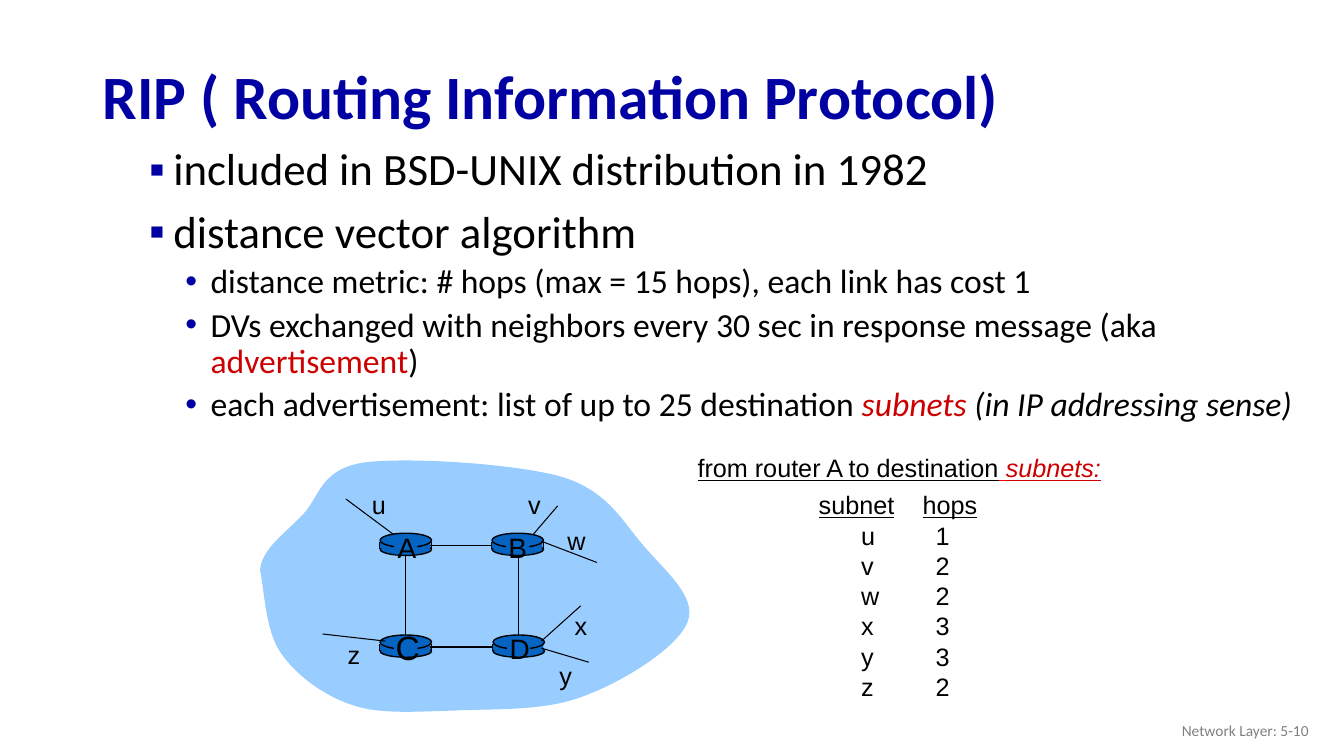
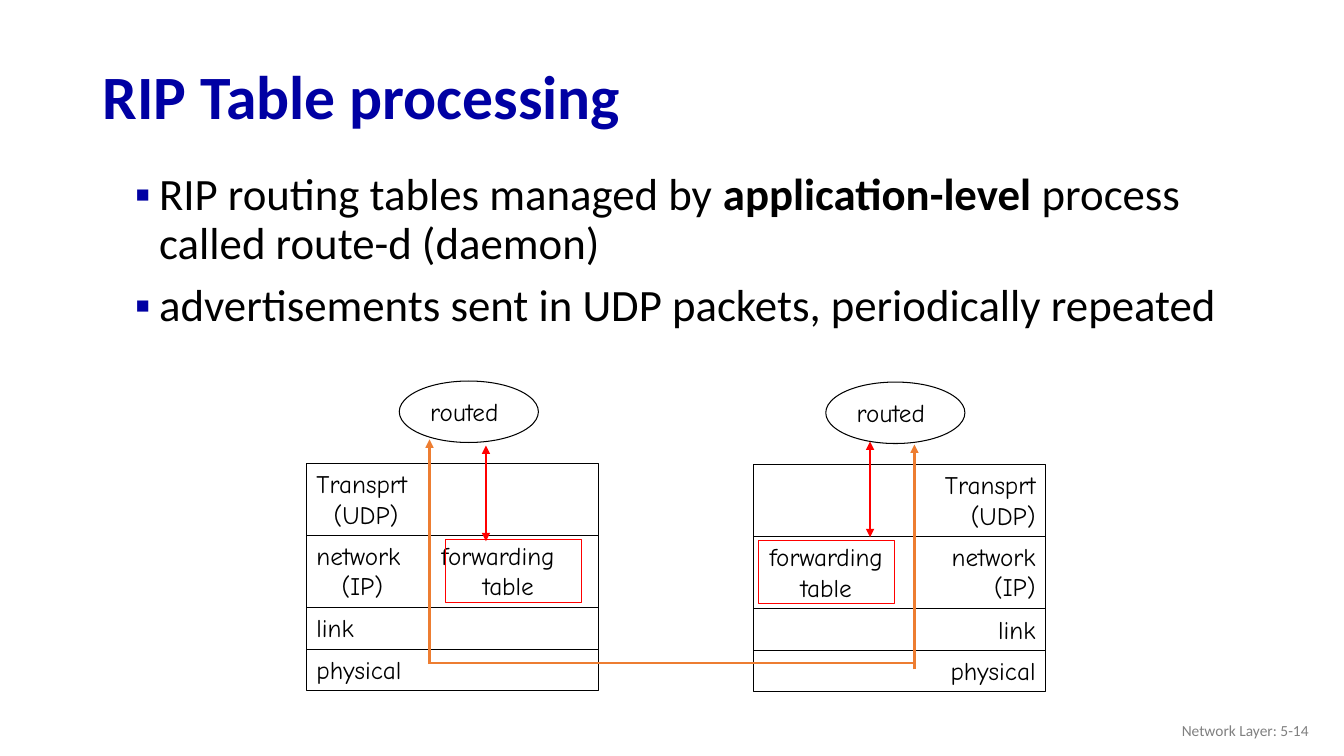
from lxml import etree
from pptx import Presentation
from pptx.dml.color import RGBColor
from pptx.enum.shapes import MSO_CONNECTOR, MSO_SHAPE
from pptx.enum.text import MSO_ANCHOR, PP_ALIGN
from pptx.oxml.ns import qn
from pptx.util import Emu, Pt

EMU_PER_PX = 9144
STRAIGHT = MSO_CONNECTOR.STRAIGHT
RECT, OVAL = MSO_SHAPE.RECTANGLE, MSO_SHAPE.OVAL
TOP, MIDDLE = MSO_ANCHOR.TOP, MSO_ANCHOR.MIDDLE
LEFT, CENTER, RIGHT = PP_ALIGN.LEFT, PP_ALIGN.CENTER, PP_ALIGN.RIGHT

NAVY = RGBColor(0x00, 0x00, 0xA3)
BLACK = RGBColor(0x00, 0x00, 0x00)
CRIMSON = RGBColor(0xCC, 0x00, 0x00)
RED = RGBColor(0xFF, 0x00, 0x00)
ORANGE = RGBColor(0xED, 0x7D, 0x31)
GRAY = RGBColor(0x80, 0x80, 0x80)
SKY = RGBColor(0x99, 0xCC, 0xFF)
ROUTER_BLUE = RGBColor(0x05, 0x63, 0xC1)

BODY_FONT, LABEL_FONT, STACK_FONT = "Calibri", "Arial", "Comic Neue"
BULLETS = (
    {"size": 32, "before": 10, "margin": 39, "hanging": 24, "mark": "▪"},
    {"size": 24, "before": 5, "margin": 76, "hanging": 25, "mark": "•"},
)

CLOUD_CURVES = (
    ((1, 92), (25, 76), (42, 58)),
    ((59, 41), (59, 13), (102, 6)),
    ((145, 0), (253, 7), (299, 20)),
    ((345, 34), (359, 64), (380, 88)),
    ((400, 112), (434, 139), (424, 164)),
    ((414, 190), (359, 224), (320, 238)),
    ((281, 253), (230, 250), (192, 252)),
    ((153, 253), (118, 256), (90, 246)),
    ((61, 236), (35, 216), (20, 194)),
    ((5, 172), (4, 130), (0, 113)),
)
ROUTERS = (
    ("A", 119, 76, (0, 51), (126, 68, 39, 44), 20),
    ("B", 230, 76, (0, 51), (236, 68, 39, 44), 20),
    ("C", 119, 177, (0, 51), (124, 164, 45, 51), 24),
    ("D", 231, 177, (0,), (237, 169, 41, 44), 20),
)
SUBNET_SPOKES = (
    ("u", (132, 77, 85, 42), (101, 28)),
    ("v", (271, 77, 295, 49), (256, 28)),
    ("w", (279, 84, 334, 105), (295, 63)),
    ("x", (279, 183, 318, 148), (302, 148)),
    ("y", (279, 190, 326, 204), (287, 197)),
    ("z", (124, 183, 62, 176), (77, 176)),
)
SUBNET_HOPS = (("u", "1"), ("v", "2"), ("w", "2"), ("x", "3"), ("y", "3"), ("z", "2"))
LAYERS = (
    (71, (("Transprt", 0), ("(UDP)", 17))),
    (72, (("network", 0), ("(IP)", 25))),
    (41, (("link", 0),)),
    (41, (("physical", 0),)),
)
TABLE_COLUMN = {"network": ("forwarding", 124), "(IP)": ("table", 165)}


def px(length):
    """Turn a length in px into EMU."""
    return Emu(round(length * EMU_PER_PX))


def add_run(paragraph, text, size, font, color=BLACK, bold=False, italic=False, underline=False):
    """Add one formatted run."""
    run = paragraph.add_run()
    run.text = text
    run.font.size, run.font.name = Pt(size), font
    run.font.color.rgb = color
    run.font.bold, run.font.italic, run.font.underline = bold, italic, underline


def add_box(shapes, box, anchor=TOP, wrap=True):
    """Add an empty text box and return its text frame."""
    frame = shapes.add_textbox(*map(px, box)).text_frame
    frame.word_wrap, frame.vertical_anchor = wrap, anchor
    return frame


def add_label(shapes, box, text, size, font, color=BLACK, align=LEFT, anchor=TOP, wrap=False):
    """Add a text box holding one plain run."""
    paragraph = add_box(shapes, box, anchor, wrap).paragraphs[0]
    paragraph.alignment = align
    add_run(paragraph, text, size, font, color)


def style_fill(figure, fill):
    """Drop the shadow and set or clear the fill."""
    figure.shadow.inherit = False
    if fill is None:
        figure.fill.background()
    else:
        figure.fill.solid()
        figure.fill.fore_color.rgb = fill


def add_figure(shapes, kind, box, fill=None, line=None, width=0.75):
    """Add a preset shape with an optional fill and outline."""
    figure = shapes.add_shape(kind, *map(px, box))
    style_fill(figure, fill)
    if line is None:
        figure.line.fill.background()
    else:
        figure.line.color.rgb, figure.line.width = line, Pt(width)
    return figure


def add_line(shapes, ends, color=BLACK, width=0.75, arrows=()):
    """Add a straight line with arrowheads at the named ends."""
    line = shapes.add_connector(STRAIGHT, *map(px, ends))
    line.line.color.rgb, line.line.width = color, Pt(width)
    properties = line._element.spPr
    for end in arrows:
        etree.SubElement(properties.find(qn("a:ln")), qn(f"a:{end}"), type="triangle")
    etree.SubElement(properties, qn("a:effectLst"))
    return line


def add_bullets(slide, box, items):
    """Add bulleted paragraphs given as levels with their runs."""
    frame = add_box(slide.shapes, box)
    for index, (level, runs) in enumerate(items):
        style = BULLETS[level]
        paragraph = frame.add_paragraph() if index else frame.paragraphs[0]
        paragraph.level = level
        paragraph.line_spacing, paragraph.space_before = 0.9, Pt(style["before"])
        properties = paragraph._p.get_or_add_pPr()
        properties.set("marL", str(px(style["margin"])))
        properties.set("indent", str(-px(style["hanging"])))
        mark_color = etree.SubElement(properties, qn("a:buClr"))
        etree.SubElement(mark_color, qn("a:srgbClr"), val=str(NAVY))
        etree.SubElement(properties, qn("a:buFont"), typeface=LABEL_FONT)
        etree.SubElement(properties, qn("a:buChar"), char=style["mark"])
        for text, look in runs:
            add_run(paragraph, text, style["size"], BODY_FONT, **look)


def add_page(deck, title, number):
    """Add a blank slide with the shared title and footer."""
    slide = deck.slides.add_slide(deck.slide_layouts[6])
    heading = add_box(slide.shapes, (92, 50, 1150, 98), MIDDLE).paragraphs[0]
    heading.line_spacing = 0.9
    add_run(heading, title, 44, BODY_FONT, NAVY, bold=True)
    add_label(slide.shapes, (1008, 705, 300, 40), f"Network Layer: {number}", 11, BODY_FONT,
              GRAY, RIGHT, MIDDLE, wrap=True)
    return slide


def add_cloud(shapes, left, top):
    """Add the cloud, turning each segment of its outline into a curve."""
    ends = [curve[-1] for curve in CLOUD_CURVES]
    start_x, start_y = ends[-1]
    outline = shapes.build_freeform(px(left + start_x), px(top + start_y))
    outline.add_line_segments([(px(left + x), px(top + y)) for x, y in ends], close=True)
    cloud = outline.convert_to_shape()
    style_fill(cloud, SKY)
    cloud.line.fill.background()
    min_x, min_y = (min(axis) for axis in zip(*ends))
    segments = list(cloud._element.iter(qn("a:lnTo")))
    for segment, curve in zip(segments, CLOUD_CURVES):
        bend = etree.Element(qn("a:cubicBezTo"))
        for x, y in curve:
            etree.SubElement(bend, qn("a:pt"), x=str(px(x - min_x)), y=str(px(y - min_y)))
        segment.getparent().replace(segment, bend)


def add_router(shapes, left, top, sides):
    """Add a router drum and return its middle band."""
    add_figure(shapes, OVAL, (left, top + 10, 51, 12), ROUTER_BLUE, BLACK, 1)
    for side in sides:
        add_line(shapes, (left + side, top + 9, left + side, top + 16), width=1)
    band = add_figure(shapes, RECT, (left, top + 9, 50, 6), ROUTER_BLUE)
    add_figure(shapes, OVAL, (left, top, 51, 14), ROUTER_BLUE, BLACK, 1)
    add_figure(shapes, RECT, (left + 14, top + 2, 23, 19), ROUTER_BLUE)
    return band


def add_network(slide, left, top):
    """Add the cloud of four routers with their links and subnets."""
    shapes = slide.shapes.add_group_shape().shapes
    add_cloud(shapes, left, top)
    bands = {letter: add_router(shapes, left + x, top + y, sides)
             for letter, x, y, sides, _, _ in ROUTERS}
    for west, east, y in (("A", "B", 88), ("C", "D", 189)):
        link = add_line(shapes, (left + 169, top + y, left + 230, top + y), width=1)
        link.begin_connect(bands[west], 3)
        link.end_connect(bands[east], 1)
    for x in (144, 256):
        add_line(shapes, (left + x, top + 99, left + x, top + 177), width=1)
    for letter, _, _, _, (x, y, width, height), size in ROUTERS:
        add_label(shapes, (left + x, top + y, width, height), letter, size, LABEL_FONT,
                  align=CENTER)
    for letter, (x1, y1, x2, y2), (x, y) in SUBNET_SPOKES:
        add_line(shapes, (left + x1, top + y1, left + x2, top + y2))
        add_label(shapes, (left + x, top + y, 33, 40), letter, 18, LABEL_FONT)


def add_hops_table(slide, left, top):
    """Add the caption and the table of hops to each subnet."""
    caption = add_box(slide.shapes, (left, top, 423, 40), wrap=False).paragraphs[0]
    for text, look in (("from router A to destination", {}), (" ", {"color": RED}),
                       ("subnets:", {"color": CRIMSON, "italic": True})):
        add_run(caption, text, 18, LABEL_FONT, underline=True, **look)
    rows = (("subnet", "hops"),) + SUBNET_HOPS
    table = slide.shapes.add_table(len(rows), 2, px(left + 130), px(top + 43),
                                   px(173), px(30 * len(rows))).table
    table.first_row = table.horz_banding = False
    for column, width in zip(table.columns, (103, 70)):
        column.width = px(width)
    for row_index, row in enumerate(rows):
        for column_index, text in enumerate(row):
            cell = table.cell(row_index, column_index)
            cell.fill.background()
            cell.margin_top = cell.margin_bottom = cell.margin_right = 0
            cell.margin_left = px((42, 13)[column_index] if row_index else 0)
            cell.vertical_anchor = MIDDLE
            add_run(cell.text_frame.paragraphs[0], text, 18, LABEL_FONT,
                    underline=row_index == 0)


def fill_figure(figure, lines, align=CENTER, anchor=MIDDLE, wrap=False, right_margin=0):
    """Write lines of tabbed parts, each with its position, into a shape."""
    frame = figure.text_frame
    frame.word_wrap, frame.vertical_anchor = wrap, anchor
    frame.margin_left = px(10 if wrap else 0)
    frame.margin_right = px(right_margin)
    for index, parts in enumerate(lines):
        paragraph = frame.add_paragraph() if index else frame.paragraphs[0]
        paragraph.alignment = align
        stops = [stop for _, stop in parts if stop]
        if stops:
            tabs = etree.SubElement(paragraph._p.get_or_add_pPr(), qn("a:tabLst"))
            for stop in stops:
                etree.SubElement(tabs, qn("a:tab"), pos=str(px(stop)), algn="l")
        text = "".join(("\t" if stop else "") + word for word, stop in parts)
        add_run(paragraph, text, 18, STACK_FONT)


def add_host(slide, left, top, align, daemon_x, table_x, update, wire):
    """Add a host: routing daemon, protocol layers, forwarding table and arrows."""
    shapes = slide.shapes
    layer_top = top + 82
    for height, labels in LAYERS:
        lines = [[(text, 0)] for text, _ in labels]
        if align == LEFT:
            lines = [[label] + [TABLE_COLUMN[label[0]]] * (label[0] in TABLE_COLUMN)
                     if label[0] in TABLE_COLUMN else [label] for label in labels]
        layer = add_figure(shapes, RECT, (left, layer_top, 290, height), line=BLACK)
        fill_figure(layer, lines, align, TOP, wrap=True, right_margin=10)
        layer_top += height
    forwarding = add_figure(shapes, RECT, (left + table_x, top + 157, 135, 63), line=RED)
    if align == RIGHT:
        fill_figure(forwarding, [[(text, 0)] for text, _ in TABLE_COLUMN.values()])
    daemon = add_figure(shapes, OVAL, (left + daemon_x, top, 138, 61), line=BLACK)
    fill_figure(daemon, [[("routed", 0)]], right_margin=9)
    x, y = left + wire[0], top + wire[1]
    add_line(shapes, (x, y + 223, x, y), ORANGE, 1.5, ("tailEnd",))
    x, y = left + update[0], top + update[1]
    add_line(shapes, (x, y, x, y + 95), RED, 1.5, ("headEnd", "tailEnd"))


def add_protocol_slide(deck):
    """Add the slide that introduces RIP."""
    slide = add_page(deck, "RIP ( Routing Information Protocol)", "5-10")
    add_bullets(slide, (123, 141, 1185, 330), (
        (0, (("included in BSD-UNIX distribution in 1982", {}),)),
        (0, (("distance vector algorithm", {}),)),
        (1, (("distance metric: # hops (max = 15 hops), each link has cost 1", {}),)),
        (1, (("DVs exchanged with neighbors every 30 sec in response message (aka ", {}),
             ("advertisement", {"color": CRIMSON}), (")", {}))),
        (1, (("each advertisement: list of up to 25 destination ", {}),
             ("subnets ", {"color": CRIMSON, "italic": True}),
             ("(in IP addressing sense)", {"italic": True}))),
    ))
    add_network(slide, 258, 453)
    add_hops_table(slide, 682, 444)


def add_processing_slide(deck):
    """Add the slide on how RIP tables are processed."""
    slide = add_page(deck, "RIP Table processing", "5-14")
    add_bullets(slide, (109, 166, 1150, 476), (
        (0, (("RIP routing tables managed by ", {}), ("application-level", {"bold": True}),
             (" process called route-d (daemon)", {}))),
        (0, (("advertisements sent in UDP packets, periodically repeated", {}),)),
    ))
    add_host(slide, 304, 378, LEFT, 92, 138, (178, 64), (122, 58))
    add_host(slide, 747, 379, RIGHT, 72, 5, (116, 59), (160, 62))
    add_line(slide.shapes, (426, 658, 908, 658), ORANGE, 1.5)


def main():
    """Build and save the deck."""
    deck = Presentation()
    deck.slide_width, deck.slide_height = px(1333), px(750)
    add_protocol_slide(deck)
    add_processing_slide(deck)
    deck.save("out.pptx")


if __name__ == "__main__":
    main()
